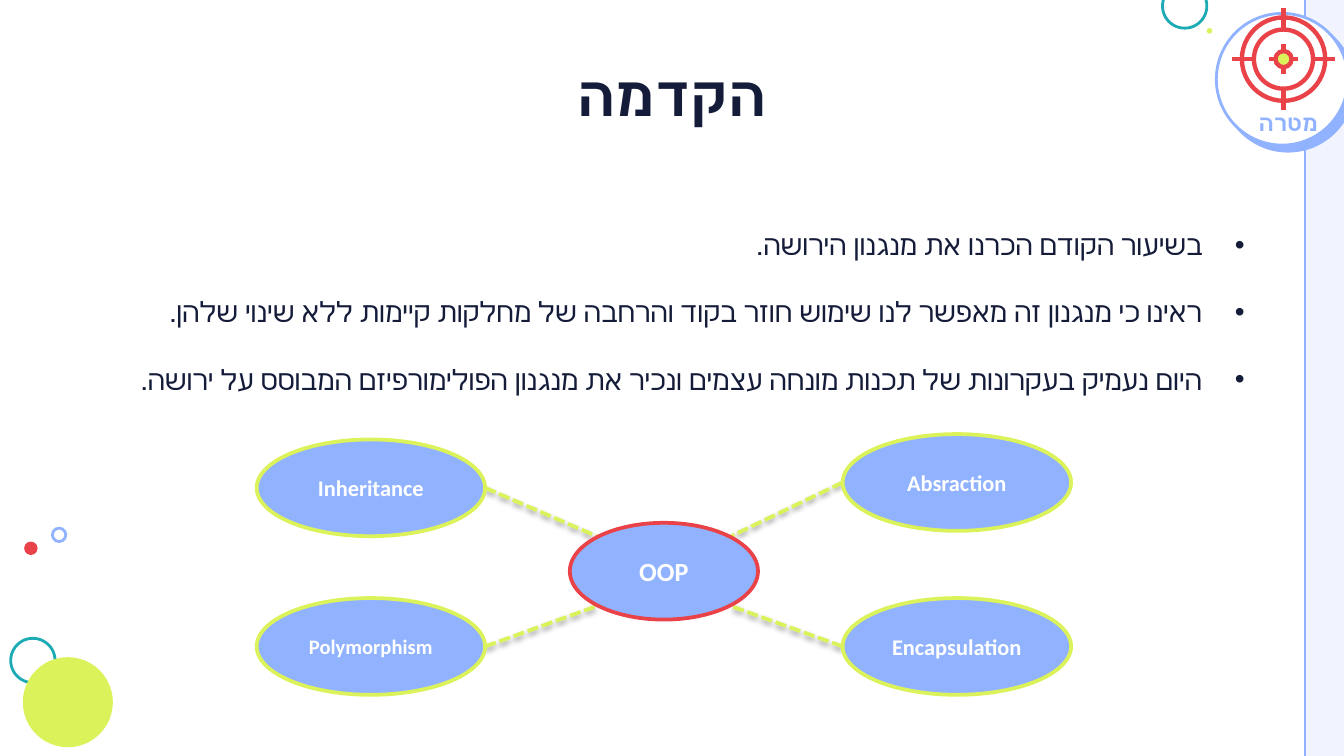
from lxml.etree import SubElement
from pptx import Presentation
from pptx.dml.color import RGBColor
from pptx.enum.dml import MSO_LINE
from pptx.enum.lang import MSO_LANGUAGE_ID
from pptx.enum.shapes import MSO_CONNECTOR, MSO_SHAPE
from pptx.enum.text import MSO_ANCHOR, PP_ALIGN
from pptx.oxml.ns import qn
from pptx.util import Inches, Pt

THEME = {
    "navy": "141C3A", "blue": "91B3FF", "pale": "F1F3FE", "white": "FFFFFF",
    "teal": "1CABB5", "lime": "DCF25B", "red": "E94249", "black": "000000",
    "hebrew_font": "Arial", "diagram_font": "Calibri",
    "title": 30, "body": 15, "badge": 12, "hub": 14, "concept": 12, "long_concept": 11,
    "rule": 1.5, "outline": 2, "target_line": 2.35,
}

SLIDE_WIDTH = 10
SLIDE_HEIGHT = SLIDE_WIDTH * 9 / 16
TITLE = "הקדמה"
BADGE = "מטרה"
POINTS = [
    "בשיעור הקודם הכרנו את מנגנון הירושה.",
    "ראינו כי מנגנון זה מאפשר לנו שימוש חוזר בקוד והרחבה של מחלקות קיימות ללא שינוי שלהן.",
    "היום נעמיק בעקרונות של תכנות מונחה עצמים ונכיר את מנגנון הפולימורפיזם המבוסס על ירושה.",
]
HUB = "OOP"
LEFT_COLUMN, RIGHT_COLUMN = 1.91, 6.27
CONCEPTS = [
    ("Inheritance", LEFT_COLUMN, 3.27, "concept"),
    ("Absraction", RIGHT_COLUMN, 3.23, "concept"),
    ("Encapsulation", RIGHT_COLUMN, 4.45, "concept"),
    ("Polymorphism", LEFT_COLUMN, 4.45, "long_concept"),
]
BUBBLES = [
    (8.65, -0.12, 0.33, None, "teal"),
    (0.08, 4.75, 0.33, None, "teal"),
    (0.17, 4.89, 0.67, "lime", None),
    (0.18, 4.03, 0.1, "red", None),
    (0.39, 3.93, 0.1, None, "blue"),
    (8.98, 0.21, 0.04, "lime", None),
]
TARGET_CENTER = (9.55, 0.44)
TARGET_LAYERS = [
    (0.31, None, 0.22, 0.38),
    (0.22, "white", 0, 0.11),
    (0.06, "lime", None, None),
]
HUB_BOX = (4.24, 3.89, 1.4, 0.72)
CONCEPT_WIDTH, CONCEPT_HEIGHT = 1.7, 0.72
LINK_ENDS_X = {LEFT_COLUMN: 4.44, RIGHT_COLUMN: 5.44}
LINK_ENDS_Y = {"upper": 3.99, "lower": 4.51}


def color(name):
    return RGBColor.from_string(THEME[name])


def set_shadow(shape, tint=None, alpha=100, blur=0, distance=0, angle=0):
    properties = shape._element.spPr
    for old in properties.findall(qn("a:effectLst")):
        properties.remove(old)
    effects = SubElement(properties, qn("a:effectLst"))
    if tint:
        outer = SubElement(
            effects, qn("a:outerShdw"), blurRad=str(Pt(blur)), dist=str(Pt(distance)),
            dir=str(angle * 60000), algn="ctr", rotWithShape="0")
        rgb = SubElement(outer, qn("a:srgbClr"), val=THEME[tint])
        SubElement(rgb, qn("a:alpha"), val=str(alpha * 1000))


def add_form(slide, kind, box, fill=None, outline=None, width="rule"):
    form = slide.shapes.add_shape(kind, *map(Inches, box))
    form.shadow.inherit = False
    if fill:
        form.fill.solid()
        form.fill.fore_color.rgb = color(fill)
    else:
        form.fill.background()
    if outline:
        form.line.color.rgb = color(outline)
        form.line.width = Pt(THEME[width])
    else:
        form.line.fill.background()
    return form


def add_line(slide, start, end, tint, width):
    line = slide.shapes.add_connector(MSO_CONNECTOR.STRAIGHT, *map(Inches, (*start, *end)))
    line.line.color.rgb = color(tint)
    line.line.width = Pt(THEME[width])
    set_shadow(line)
    return line


def add_run(paragraph, words, size, tint, font, bold=False):
    run = paragraph.add_run()
    run.text = words
    run.font.name = THEME[font]
    run.font.size = Pt(THEME[size])
    run.font.bold = bold
    run.font.color.rgb = color(tint)
    if font == "hebrew_font":
        run.font.language_id = MSO_LANGUAGE_ID.HEBREW


def add_hebrew(slide, box, lines, size, tint, align, anchor, bold=True, bullets=False, leading=None):
    frame = slide.shapes.add_textbox(*map(Inches, box)).text_frame
    frame.word_wrap = True
    frame.vertical_anchor = anchor
    frame.margin_left = frame.margin_right = frame.margin_top = frame.margin_bottom = 0
    for index, words in enumerate(lines):
        paragraph = frame.add_paragraph() if index else frame.paragraphs[0]
        paragraph.alignment = align
        if leading:
            paragraph.line_spacing = leading
        if index:
            paragraph.space_before = Pt(18)
        layout = paragraph._p.get_or_add_pPr()
        layout.set("rtl", "1")
        if bullets:
            layout.set("marL", str(Inches(0.46)))
            layout.set("indent", str(Inches(-0.31)))
            bullet_color = SubElement(layout, qn("a:buClr"))
            SubElement(bullet_color, qn("a:srgbClr"), val=THEME["navy"])
            SubElement(layout, qn("a:buFont"), typeface=THEME["hebrew_font"])
            SubElement(layout, qn("a:buChar"), char="•")
        add_run(paragraph, words, size, tint, "hebrew_font", bold)


def add_target(slide):
    x, y = TARGET_CENTER
    for radius, fill, near, far in TARGET_LAYERS:
        box = (x - radius, y - radius, 2 * radius, 2 * radius)
        add_form(slide, MSO_SHAPE.OVAL, box, fill, "red", "target_line")
        if far:
            for dx, dy in ((0, -1), (0, 1), (1, 0), (-1, 0)):
                add_line(slide, (x + dx * near, y + dy * near),
                         (x + dx * far, y + dy * far), "red", "target_line")


def add_node(slide, box, words, size, outline):
    node = add_form(slide, MSO_SHAPE.OVAL, box, "blue", outline, "outline")
    node.text_frame.vertical_anchor = MSO_ANCHOR.MIDDLE
    paragraph = node.text_frame.paragraphs[0]
    paragraph.alignment = PP_ALIGN.CENTER
    add_run(paragraph, words, size, "white", "diagram_font", True)


def add_diagram(slide):
    for _, left, top, _ in CONCEPTS:
        edge = left + CONCEPT_WIDTH if left == LEFT_COLUMN else left
        level = "upper" if top < HUB_BOX[1] else "lower"
        link = add_line(slide, (edge, top + CONCEPT_HEIGHT / 2),
                        (LINK_ENDS_X[left], LINK_ENDS_Y[level]), "lime", "outline")
        link.line.dash_style = MSO_LINE.SQUARE_DOT
        set_shadow(link, "black", 38, 3.1, 1.6, 90)
    add_node(slide, HUB_BOX, HUB, "hub", "red")
    for words, left, top, size in CONCEPTS:
        add_node(slide, (left, top, CONCEPT_WIDTH, CONCEPT_HEIGHT), words, size, "lime")


def main():
    """Build the introduction slide on object-oriented programming."""
    deck = Presentation()
    deck.slide_width, deck.slide_height = Inches(SLIDE_WIDTH), Inches(SLIDE_HEIGHT)
    slide = deck.slides.add_slide(deck.slide_layouts[6])
    add_form(slide, MSO_SHAPE.RECTANGLE, (9.71, 0, 0.29, SLIDE_HEIGHT), "pale")
    add_line(slide, (9.71, 0), (9.71, SLIDE_HEIGHT), "blue", "rule")
    for left, top, size, fill, outline in BUBBLES:
        add_form(slide, MSO_SHAPE.OVAL, (left, top, size, size), fill, outline)
    add_hebrew(slide, (0.59, 1.41, 8.82, 1.82), POINTS, "body", "navy",
               PP_ALIGN.RIGHT, MSO_ANCHOR.MIDDLE, bold=False, bullets=True)
    add_hebrew(slide, (0.59, 0.45, 8.82, 0.72), [TITLE], "title", "navy",
               PP_ALIGN.CENTER, MSO_ANCHOR.TOP)
    medallion = add_form(slide, MSO_SHAPE.OVAL, (9.05, 0.1, 0.98, 0.98), "white", "blue")
    set_shadow(medallion, "blue", distance=4.5, angle=46)
    add_hebrew(slide, (9.19, 0.72, 0.79, 0.29), [BADGE], "badge", "blue",
               PP_ALIGN.CENTER, MSO_ANCHOR.BOTTOM, leading=0.8)
    add_target(slide)
    add_diagram(slide)
    deck.save("out.pptx")


if __name__ == "__main__":
    main()
